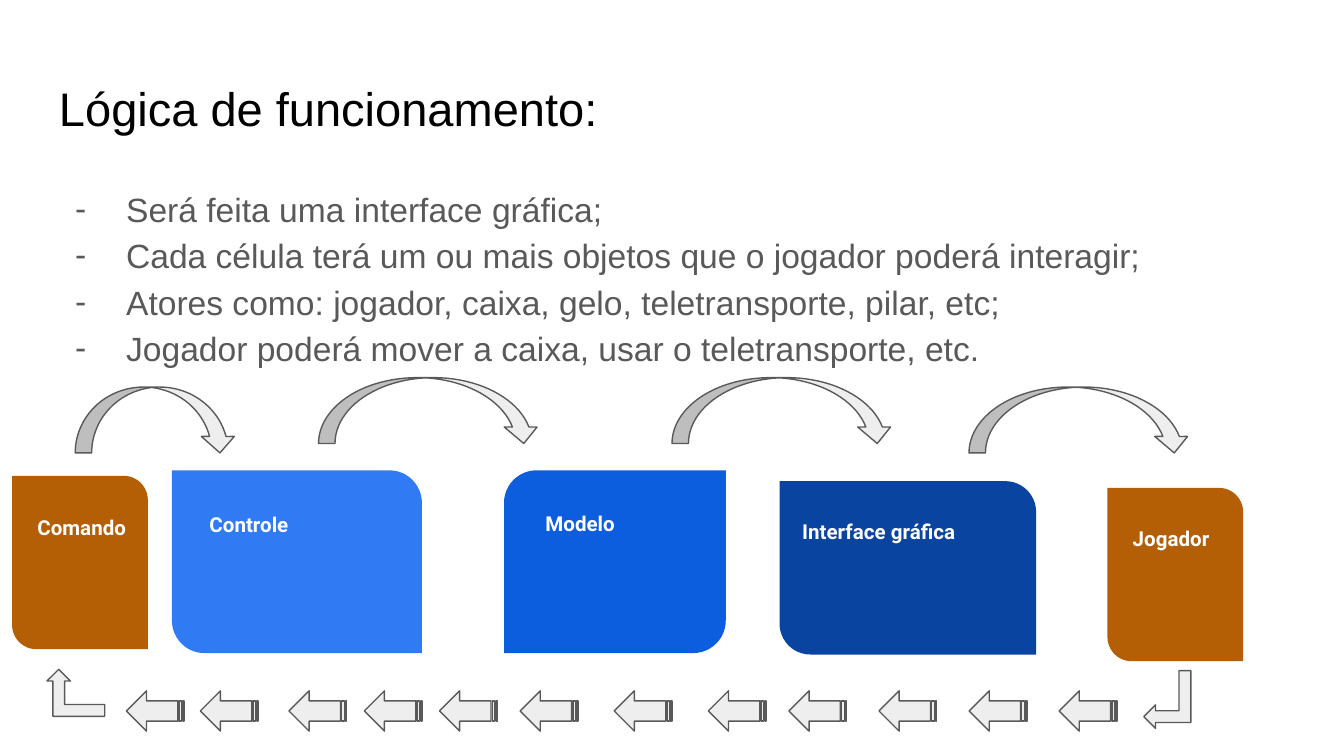
import pptx
import pptx.util
import pptx.dml.color
import pptx.enum.shapes
import pptx.enum.text
import pptx.oxml

Inches = pptx.util.Inches
Pt = pptx.util.Pt
RGB = pptx.dml.color.RGBColor.from_string
SHAPE = pptx.enum.shapes.MSO_SHAPE

THEME = {
    "title": {"size": Pt(25.2), "name": "Arial", "bold": False, "color": "000000"},
    "body": {"size": Pt(18), "name": "Arial", "bold": False, "color": "595959"},
    "label": {"size": Pt(11), "name": "Roboto", "bold": True, "color": "FFFFFF"},
    "arrow fill": "EEEEEE",
    "arrow line": "595959",
    "orange": "B45F06",
    "light blue": "307BF3",
    "blue": "0D5DDF",
    "dark blue": "0944A1",
}
FRAME = {
    "word_wrap": True,
    "vertical_anchor": pptx.enum.text.MSO_ANCHOR.TOP,
    "margin_left": Inches(0.1),
    "margin_right": Inches(0.1),
    "margin_top": Inches(0.1),
    "margin_bottom": Inches(0.1),
}


def add_text(shapes, box, lines, style):
    frame = shapes.add_textbox(*map(Inches, box)).text_frame
    for name, value in FRAME.items():
        setattr(frame, name, value)
    frame.text = "\n".join(lines)
    for paragraph in frame.paragraphs:
        font = paragraph.runs[0].font
        for name, value in THEME[style].items():
            if name == "color":
                font.color.rgb = RGB(value)
            else:
                setattr(font, name, value)
    return frame


def add_arrow(kind, box, rotation=0, flipped=False):
    arrow = slide.shapes.add_shape(kind, *map(Inches, box))
    arrow.shadow.inherit = False
    arrow.rotation = rotation
    arrow.fill.solid()
    arrow.fill.fore_color.rgb = RGB(THEME["arrow fill"])
    arrow.line.color.rgb = RGB(THEME["arrow line"])
    arrow.line.width = Pt(0.75)
    if flipped:
        arrow._element.spPr.xfrm.set("flipH", "1")


# Widescreen slide, 16 to 9
presentation = pptx.Presentation()
presentation.slide_width = Inches(10)
presentation.slide_height = Inches(10 * 9 / 16)
slide = presentation.slides.add_slide(presentation.slide_layouts[6])

# Title and dashed list
add_text(slide.shapes, (0.34, 0.49, 9.32, 0.63), ["Lógica de funcionamento:"], "title")
body = add_text(slide.shapes, (0.34, 1.26, 9.32, 3.74), [
    "Será feita uma interface gráfica;",
    "Cada célula terá um ou mais objetos que o jogador poderá interagir;",
    "Atores como: jogador, caixa, gelo, teletransporte, pilar, etc;",
    "Jogador poderá mover a caixa, usar o teletransporte, etc.",
], "body")
namespace = pptx.oxml.ns.nsdecls("a")
for paragraph in body.paragraphs:
    paragraph.line_spacing = 1.15
    properties = paragraph._p.get_or_add_pPr()
    properties.set("marL", str(Inches(0.5)))
    properties.set("indent", str(Inches(-0.38)))
    for xml in (
        f'<a:buClr {namespace}><a:srgbClr val="{THEME["body"]["color"]}"/></a:buClr>',
        f'<a:buSzPts {namespace} val="{THEME["body"]["size"].centipoints}"/>',
        f'<a:buFont {namespace} typeface="{THEME["body"]["name"]}"/>',
        f'<a:buChar {namespace} char="-"/>',
    ):
        properties.append(pptx.oxml.parse_xml(xml))

# Stages: label, colour, block, label box, rounded corners
FALLING, RISING = (0.178, 0), (0, 0.178)
stages = [
    ("Modelo", "blue", (3.75, 3.5, 1.65, 1.36), (3.96, 3.71, 1.23, 0.4), FALLING),
    ("Controle", "light blue", (1.28, 3.5, 1.86, 1.36), (1.46, 3.72, 1.39, 0.4), RISING),
    ("Interface gráfica", "dark blue", (5.8, 3.58, 1.91, 1.29), (5.87, 3.77, 1.95, 0.53), RISING),
    ("Jogador", "orange", (8.24, 3.63, 1.01, 1.29), (8.33, 3.82, 1.04, 0.53), RISING),
    ("Comando", "orange", (0.09, 3.54, 1.01, 1.29), (0.18, 3.74, 1.04, 0.53), RISING),
]
for label, color, block_box, label_box, corners in stages:
    group = slide.shapes.add_group_shape()
    block = group.shapes.add_shape(SHAPE.ROUND_2_DIAG_RECTANGLE, *map(Inches, block_box))
    block.shadow.inherit = False
    block.fill.solid()
    block.fill.fore_color.rgb = RGB(THEME[color])
    block.line.fill.background()
    for index, corner in enumerate(corners):
        block.adjustments[index] = corner
    add_text(group.shapes, label_box, [label], "label")

# Curved arrows leading forward
for left, top, width in [(2.37, 2.81, 1.65), (5, 2.81, 1.65), (0.56, 2.88, 1.2), (7.21, 2.88, 1.65)]:
    add_arrow(SHAPE.CURVED_DOWN_ARROW, (left, top, width, 0.49))

# Striped arrows and elbows leading back
for left in [7.88, 7.21, 6.54, 5.87, 5.27, 4.57, 3.87, 3.27, 2.71, 2.15, 1.49, 0.94]:
    add_arrow(SHAPE.STRIPED_RIGHT_ARROW, (left, 5.14, 0.43, 0.3), rotation=180)
add_arrow(SHAPE.BENT_UP_ARROW, (0.35, 4.98, 0.43, 0.35), flipped=True)
add_arrow(SHAPE.BENT_UP_ARROW, (8.47, 5.03, 0.43, 0.35), rotation=270, flipped=True)

presentation.save("out.pptx")
